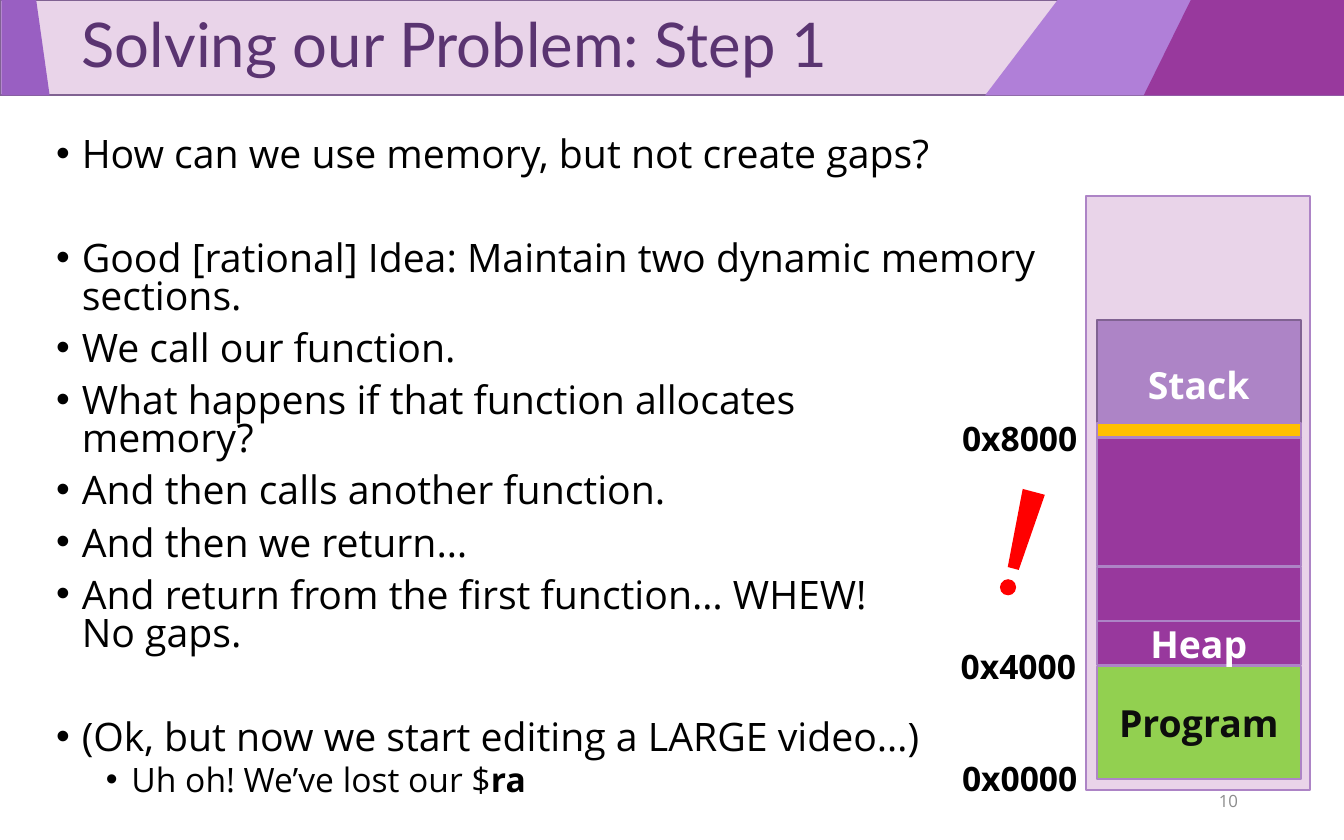
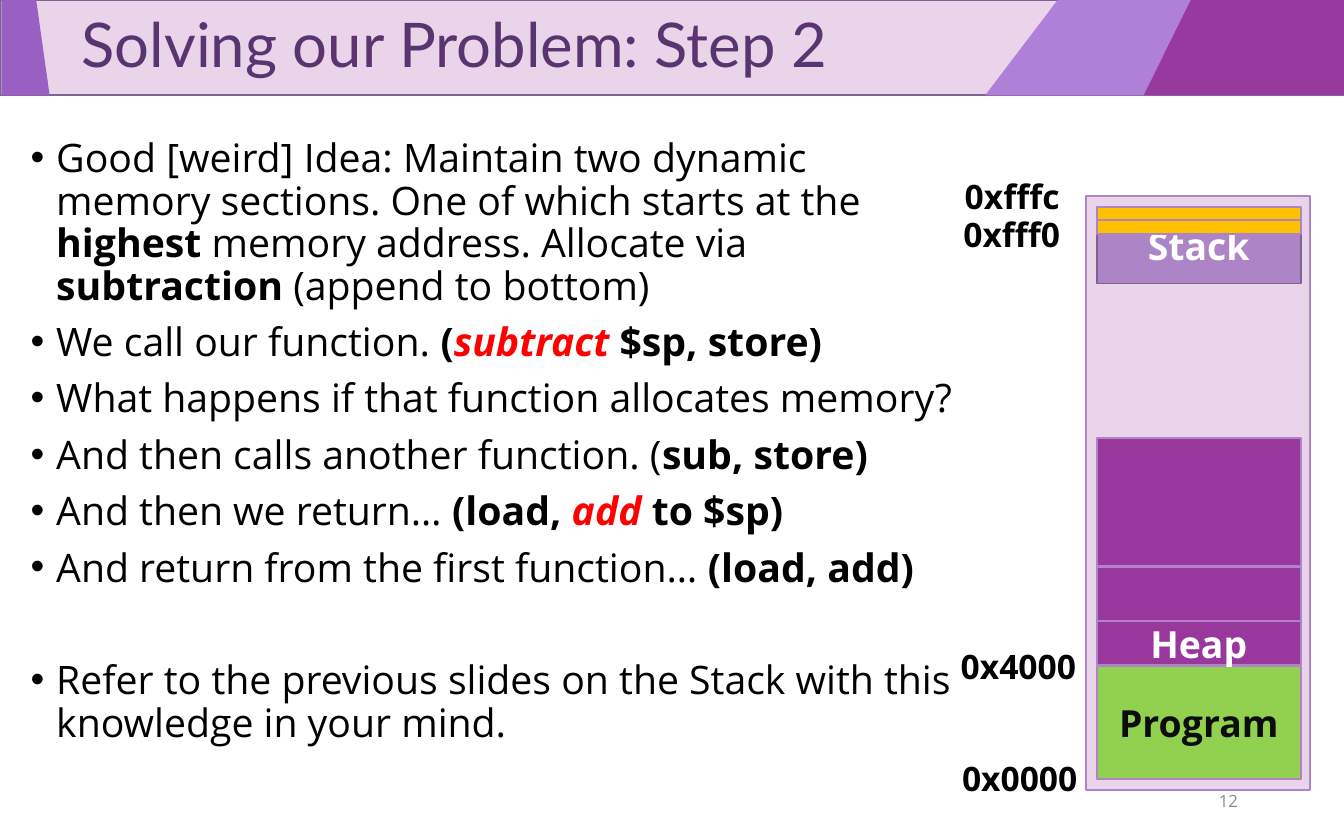
from pptx import Presentation
from pptx.dml.color import RGBColor
from pptx.enum.shapes import MSO_SHAPE as Shape
from pptx.enum.text import MSO_ANCHOR as Anchor, MSO_AUTO_SIZE as AutoSize, PP_ALIGN as Align
from pptx.oxml.ns import qn
from pptx.util import Inches, Pt
from lxml.etree import SubElement

BODY_FONT, TITLE_FONT = "Open Sans", "Lato"
PALE, LILAC, EDGE = "E9D4E9", "AD84C6", "806292"
PURPLE, GREEN, AMBER, RED = "98389D", "92D050", "FFC000", "FF0000"
WHITE, BLACK = "FFFFFF", "000000"
BAND_HEIGHT = 0.71
BOLD = {"bold": True}
ALERT = {"bold": True, "italic": True, "color": RED}


def rgb(value):
    return RGBColor.from_string(value)


def paint(shape, fill, line=None):
    shape.shadow.inherit = False
    shape.fill.solid()
    shape.fill.fore_color.rgb = rgb(fill)
    if line:
        shape.line.color.rgb = rgb(line)
        shape.line.width = Pt(1)
    else:
        shape.line.fill.background()
    return shape


def add_span(para, text, size=18, font=BODY_FONT, color=BLACK, bold=False, italic=False):
    for number, piece in enumerate(text.split("\n")):
        if number:
            para.add_line_break()
        span = para.add_run()
        span.text = piece
        span.font.size = Pt(size)
        span.font.name = font
        span.font.color.rgb = rgb(color)
        span.font.bold = bold
        span.font.italic = italic


def add_block(shapes, kind, box, fill, line=None, text=None, color=WHITE):
    block = paint(shapes.add_shape(kind, *map(Inches, box)), fill, line)
    if text:
        frame = block.text_frame
        frame.vertical_anchor = Anchor.MIDDLE
        para = frame.paragraphs[0]
        para.alignment = Align.CENTER
        add_span(para, text, size=20, color=color, bold=True)
    return block


def add_text(page, box, text, align=Align.LEFT, anchor=Anchor.TOP, wrap=True, **style):
    area = page.shapes.add_textbox(*map(Inches, box))
    frame = area.text_frame
    frame.word_wrap = wrap
    frame.vertical_anchor = anchor
    para = frame.paragraphs[0]
    para.alignment = align
    add_span(para, text, **style)
    return area


def add_facet(page, points, fill):
    outline = page.shapes.build_freeform(*map(Inches, points[0]), scale=1.0)
    outline.add_line_segments([tuple(map(Inches, point)) for point in points[1:]], close=True)
    paint(outline.convert_to_shape(), fill)


def add_header(page, title, left=0, top=0, width=10, height=BAND_HEIGHT):
    right, bottom = left + width, top + height
    add_block(page.shapes, Shape.RECTANGLE, (left, top, width, height), PALE, EDGE)
    for upper_left, upper_right, lower_right, lower_left, fill in (
        (7.87, 10, 10, 7.33, "B07FD8"),
        (0.01, 0.27, 0.37, 0.01, "995FC2"),
        (8.86, 10, 10, 8.51, "98399D"),
    ):
        corners = ((upper_left, top), (upper_right, top), (lower_right, bottom), (lower_left, bottom))
        add_facet(page, [(left + x, y) for x, y in corners], fill)
    heading = add_text(page, (left + 0.01, top, right - left, height), title,
                       anchor=Anchor.MIDDLE, size=33, font=TITLE_FONT, color="5A3471")
    para = heading.text_frame.paragraphs[0]
    para.line_spacing = 0.9
    para._p.get_or_add_pPr().set("marL", str(Inches(0.5)))


def set_bullet(para, indent):
    properties = para._p.get_or_add_pPr()
    properties.set("marL", str(Inches(indent)))
    properties.set("indent", str(Inches(-0.19)))
    SubElement(properties, qn("a:buFont")).set("typeface", "Arial")
    SubElement(properties, qn("a:buChar")).set("char", "•")


def add_bullets(page, box, items, line_height):
    frame = page.shapes.add_textbox(*map(Inches, box)).text_frame
    frame.word_wrap = True
    for number, (kind, spans) in enumerate(items):
        para = frame.add_paragraph() if number else frame.paragraphs[0]
        minor = kind == "minor"
        size = 18 if minor else 21
        para.level = 1 if minor else 0
        para.line_spacing = Pt(line_height * size / 21)
        before = {"minor": 3.8, "major": 7.5, "apart": 15 + line_height}[kind]
        para.space_before = Pt(before)
        set_bullet(para, 0.56 if minor else 0.19)
        for text, style in spans:
            add_span(para, text, size=size, **style)


def add_address(page, left, top, text):
    width = 1.07 if text[2:].isdigit() else 0.93
    label = add_text(page, (left, top, width, 0.4), text, wrap=False, bold=True)
    label.text_frame.auto_size = AutoSize.SHAPE_TO_FIT_TEXT


def add_memory(page, box, stack, frames, addresses):
    left, top, width, height = box
    inner, inner_width = left + 0.08, width - 0.15

    def add_section(offset, size, fill, line=LILAC, text=None, color=WHITE):
        add_block(page.shapes, Shape.RECTANGLE, (inner, top + offset, inner_width, size),
                  fill, line, text, color)

    add_block(page.shapes, Shape.RECTANGLE, box, PALE, LILAC)
    add_section(*stack, LILAC, EDGE, "Stack")
    add_section(3.5, 0.84, GREEN, text="Program", color="0D0D0D")
    add_section(3.16, 0.33, PURPLE, text="Heap")
    for offset in frames:
        add_section(offset, 0.1, AMBER)
    for offset, size in ((2.76, 0.4), (1.8, 0.95)):
        add_section(offset, size, PURPLE)
    for x, offset, text in ((-1.02, 4.13, "0x0000"), (-1.03, 3.3, "0x4000"), *addresses):
        add_address(page, left + x, top + offset, text)


def add_exclamation(page, left, top):
    mark = page.shapes.add_group_shape()
    stroke = add_block(mark.shapes, Shape.TRAPEZOID, (left + 0.09, top, 0.17, 0.59), RED)
    stroke.rotation = 195
    add_block(mark.shapes, Shape.OVAL, (left, top + 0.66, 0.12, 0.12), RED)


def add_page(deck, step, number, bullets, memory):
    page = deck.slides.add_slide(deck.slide_layouts[6])
    add_header(page, f"Solving our Problem: Step {step}")
    add_memory(page, (8.08, 1.46, 1.67, 4.42), **memory)
    add_bullets(page, **bullets)
    add_text(page, (7.06, 5.79, 2.25, 0.33), str(number), align=Align.RIGHT,
             anchor=Anchor.MIDDLE, size=9, color="8C8C8C")
    return page


def plain(text, kind="major"):
    return kind, [(text, {})]


def mixed(*spans, kind="major"):
    return kind, [(span, {}) if isinstance(span, str) else span for span in spans]


deck = Presentation()
deck.slide_width, deck.slide_height = Inches(10), Inches(6.25)

rational_idea = [
    plain("How can we use memory, but not create gaps?"),
    plain("Good [rational] Idea: Maintain two dynamic memory\nsections.", "apart"),
    plain("We call our function."),
    plain("What happens if that function allocates\nmemory?"),
    plain("And then calls another function."),
    plain("And then we return…"),
    plain("And return from the first function… WHEW!\nNo gaps."),
    plain("(Ok, but now we start editing a LARGE video…)", "apart"),
    mixed("Uh oh! We’ve lost our $", ("ra", BOLD), kind="minor"),
]
weird_idea = [
    mixed("Good [weird] Idea: Maintain two dynamic memory sections. One of which starts at the ",
          ("highest ", BOLD), "memory address. Allocate via ",
          ("subtraction", BOLD), " (append to bottom)"),
    mixed("We call our function. ", ("(", BOLD), ("subtract", ALERT), (" $sp, store)", BOLD)),
    plain("What happens if that function allocates memory?"),
    mixed("And then calls another function. (", ("sub, store)", BOLD)),
    mixed("And then we return… ", ("(load, ", BOLD), ("add", ALERT), (" to $sp)", BOLD)),
    mixed("And return from the first function… ", ("(load, add)", BOLD)),
    plain("Refer to the previous slides on the Stack with this knowledge in your mind.", "apart"),
]

first = add_page(
    deck, 1, 10,
    bullets={"box": (0.32, 0.98, 8.99, 5.15), "items": rational_idea, "line_height": 20.4},
    memory={"stack": (0.92, 0.96), "frames": (1.8, 1.69),
            "addresses": [(-1.02, 1.6, "0x8000")]},
)
add_exclamation(first, 7.44, 3.65)

add_page(
    deck, 2, 12,
    bullets={"box": (0.13, 0.98, 7.09, 5.15), "items": weird_idea, "line_height": 22.7},
    memory={"stack": (0.09, 0.56), "frames": (0.08, 0.18),
            "addresses": [(-1, -0.2, "0xfffc"), (-1.01, 0.08, "0xfff0")]},
)

deck.save("out.pptx")
